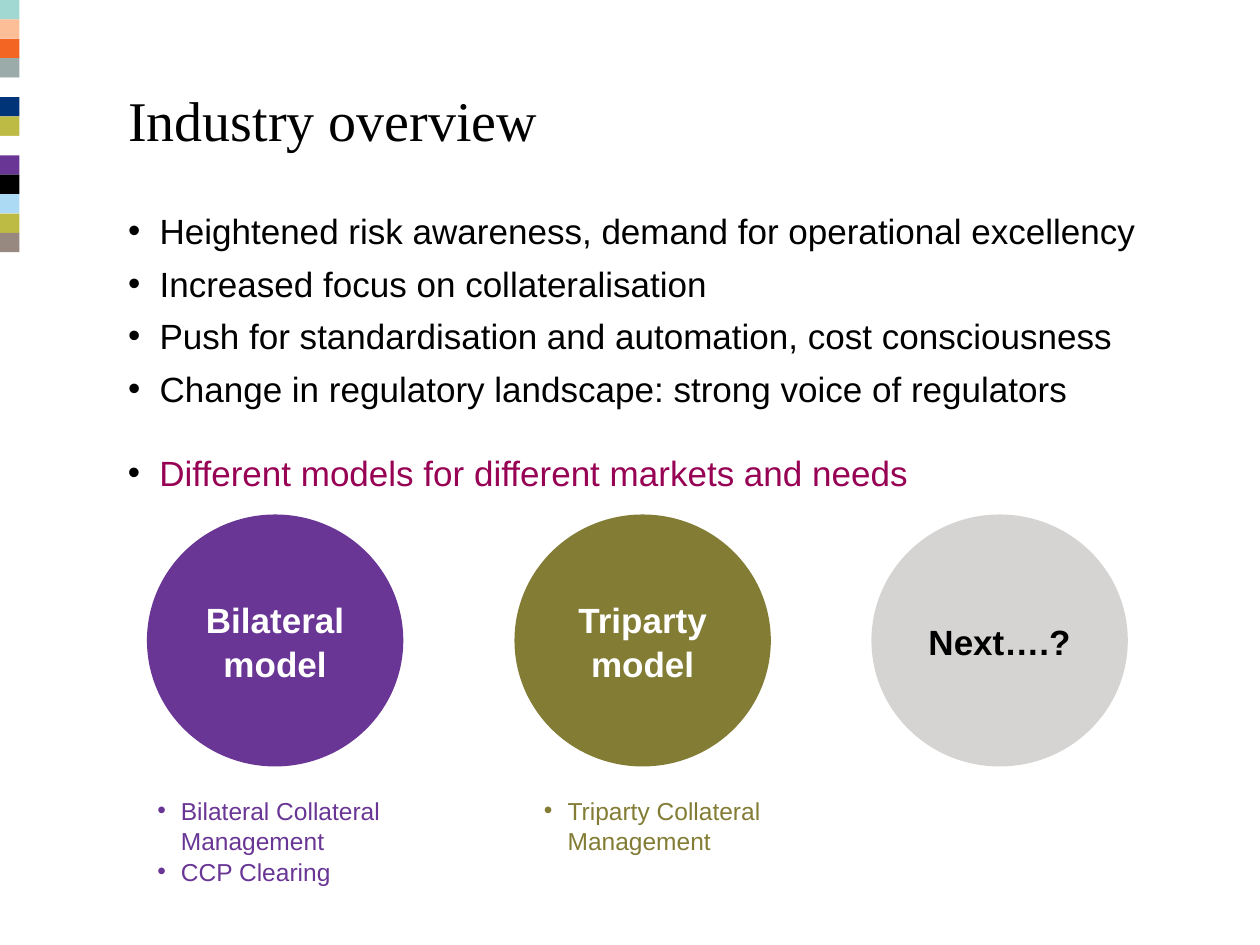
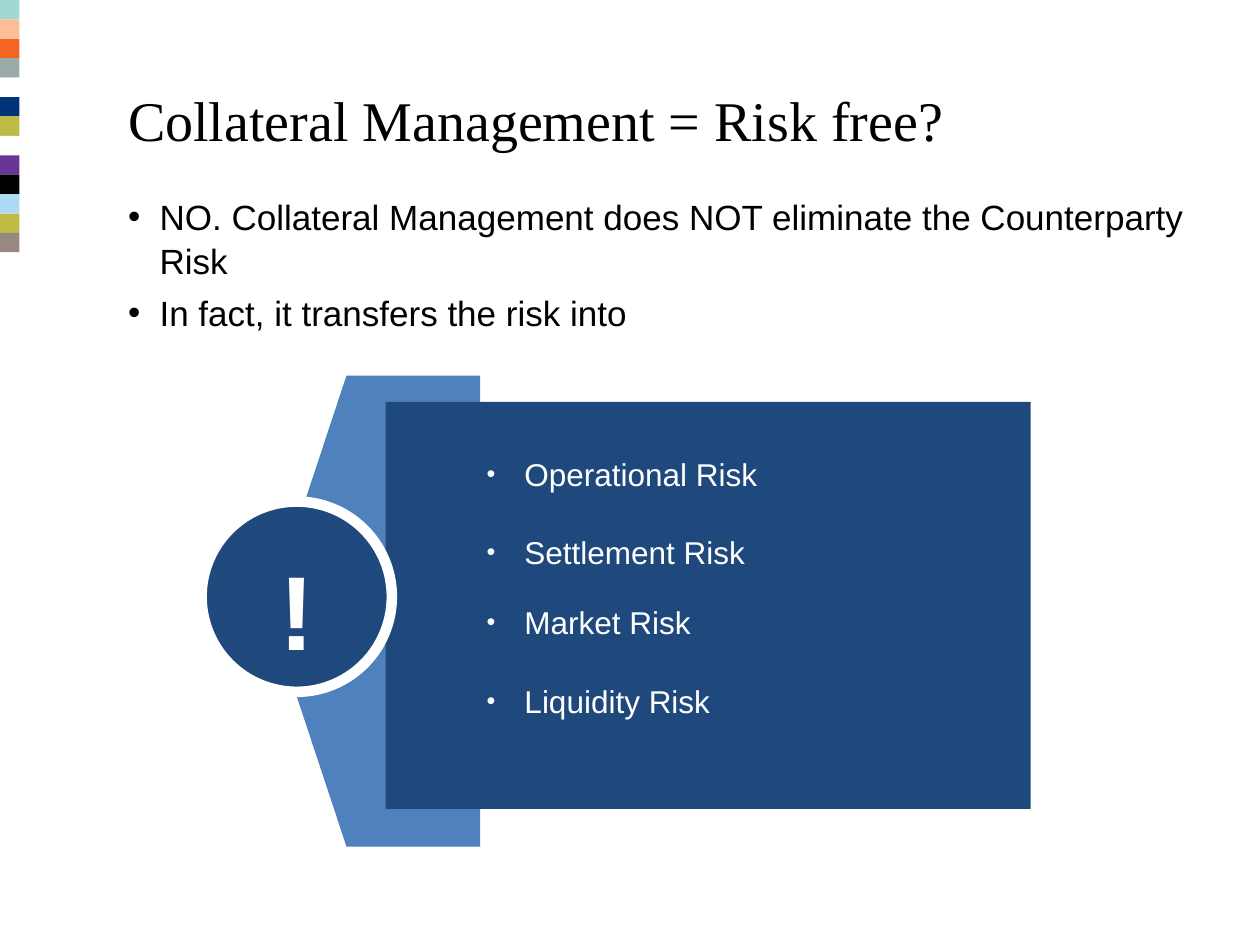
"""Build two slides on collateral management."""
from lxml import etree
from pptx import Presentation
from pptx.dml.color import RGBColor
from pptx.enum import shapes, text
from pptx.oxml import ns
from pptx.util import Pt

BAND = ["A1D9D2", "FBBE97", "F26522", "9AABA9", "FFFFFF", "003478", "BEBB45",
        "FFFFFF", "693695", "000000", "ACD9F4", "BEBB45", "988980"]
STEP = 11.09
BLACK, WHITE, PLUM = "000000", "FFFFFF", "970254"
VIOLET, OLIVE, GREY = "693695", "827C34", "D6D4D3"
NAVY, BLUE = "1F497D", "4F81BD"
LEFT, WIDE = 66, 600
OVAL = shapes.MSO_SHAPE.OVAL
RECT = shapes.MSO_SHAPE.RECTANGLE


def color(code):
    return RGBColor.from_string(code)


def bullet(para, tint, margin, hang, scale):
    props = para._p.get_or_add_pPr()
    props.set("marL", str(Pt(margin)))
    props.set("indent", str(-Pt(hang)))
    tone = etree.SubElement(props, ns.qn("a:buClr"))
    etree.SubElement(tone, ns.qn("a:srgbClr"), val=tint)
    etree.SubElement(props, ns.qn("a:buSzPct"), val=str(scale * 1000))
    etree.SubElement(props, ns.qn("a:buFont"), typeface="Arial")
    etree.SubElement(props, ns.qn("a:buChar"), char="•")


def write(shape, lines, size=20, tint=BLACK, font="Arial", bold=False,
          align="LEFT", anchor="TOP", top=4, gap=0, wrap=True, lead=1.04,
          mark=None, margin=18, hang=18, scale=100):
    frame = shape.text_frame
    frame.word_wrap = wrap
    frame.auto_size = text.MSO_AUTO_SIZE.NONE
    frame.vertical_anchor = getattr(text.MSO_ANCHOR, anchor)
    frame.margin_left = frame.margin_right = Pt(7.2)
    frame.margin_top, frame.margin_bottom = Pt(top), Pt(3.6)
    for i, line in enumerate(lines):
        para = frame.add_paragraph() if i else frame.paragraphs[0]
        if mark:
            bullet(para, mark, margin, hang, scale)
        para.alignment = getattr(text.PP_ALIGN, align)
        para.line_spacing = lead
        para.space_before = Pt(gap if i else 0)
        run = para.add_run()
        run.text = line
        run.font.name, run.font.size, run.font.bold = font, Pt(size), bold
        run.font.color.rgb = color(tint)


def place(shape, x, y, w, h):
    shape.left, shape.top = Pt(x), Pt(y)
    shape.width, shape.height = Pt(w), Pt(h)


def paint(shape, fill, edge=None, width=0):
    shape.shadow.inherit = False
    shape.fill.solid()
    shape.fill.fore_color.rgb = color(fill)
    if edge:
        shape.line.color.rgb = color(edge)
        shape.line.width = Pt(width)
    else:
        shape.line.fill.background()


def block(parent, kind, x, y, w, h, fill, **edge):
    shape = parent.shapes.add_shape(kind, Pt(x), Pt(y), Pt(w), Pt(h))
    paint(shape, fill, **edge)
    return shape


def label(slide, x, y, w, h, lines, **look):
    box = slide.shapes.add_textbox(Pt(x), Pt(y), Pt(w), Pt(h))
    write(box, lines, **look)


def page(deck, title, items, y, w, h):
    slide = deck.slides.add_slide(deck.slide_layouts[1])
    group = slide.shapes.add_group_shape()
    for i, fill in enumerate(BAND):
        block(group, RECT, 0, i * STEP, STEP, STEP, fill)
    head, body = slide.placeholders
    place(head, LEFT, 42, WIDE, 90)
    write(head, [title], size=32, font="Times New Roman", top=7, lead=1)
    place(body, LEFT, y, w, h)
    write(body, items, gap=5, mark=BLACK, top=5)
    return slide


def bracket(slide):
    build = slide.shapes.build_freeform(Pt(274.3), Pt(214.6))
    build.add_line_segments([(Pt(x), Pt(y)) for x, y in
                             [(198, 214.6), (153.4, 349.2), (198, 483.8), (274.3, 483.8)]])
    paint(build.convert_to_shape(), BLUE)


def industry(deck):
    slide = page(deck, "Industry overview", [
        "Heightened risk awareness, demand for operational excellency",
        "Increased focus on collateralisation",
        "Push for standardisation and automation, cost consciousness",
        "Change in regulatory landscape: strong voice of regulators",
    ], 114, WIDE, 120)
    for x, name, fill, tint in [(84, "Bilateral model", VIOLET, WHITE),
                                (294, "Triparty model", OLIVE, WHITE),
                                (498, "Next….?", GREY, BLACK)]:
        disc = block(slide, OVAL, x, 294, 146.5, 144, fill)
        write(disc, [name], tint=tint, bold=True, align="CENTER", anchor="MIDDLE")
    for x, w, tint, items in [
            (82.8, 210, VIOLET, ["Bilateral Collateral Management", "CCP Clearing"]),
            (303.8, 186, OLIVE, ["Triparty Collateral Management"])]:
        label(slide, x, 450, w, 58, items, size=14, tint=tint, mark=tint,
              margin=13.5, hang=13.5)
    label(slide, LEFT, 252, WIDE, 66, ["Different models for different markets and needs"],
          tint=PLUM, mark=BLACK, top=5)


def risks(deck):
    slide = page(deck, "Collateral Management = Risk free?", [
        "NO. Collateral Management does NOT eliminate the Counterparty Risk",
        "In fact, it transfers the risk into",
    ], 106, 626, 342)
    bracket(slide)
    block(slide, RECT, 220.3, 229.7, 368.6, 232.6, NAVY)
    block(slide, OVAL, 115.2, 286.6, 108.7, 108.7, NAVY, edge=WHITE, width=6)
    label(slide, 152.3, 305, 34.6, 79, ["!"], size=60, tint=WHITE, bold=True,
          align="CENTER", wrap=False)
    for y, kind in [(255, "Operational"), (300, "Settlement"),
                    (340, "Market"), (385, "Liquidity")]:
        label(slide, 254.2, y, 226.8, 60.5, [f"{kind} Risk"], size=18, tint=WHITE,
              mark=WHITE, margin=38.4, hang=21.6, scale=80)


def main():
    deck = Presentation()
    deck.slide_width, deck.slide_height = Pt(720), Pt(540)
    industry(deck)
    risks(deck)
    deck.save("out.pptx")


if __name__ == "__main__":
    main()
